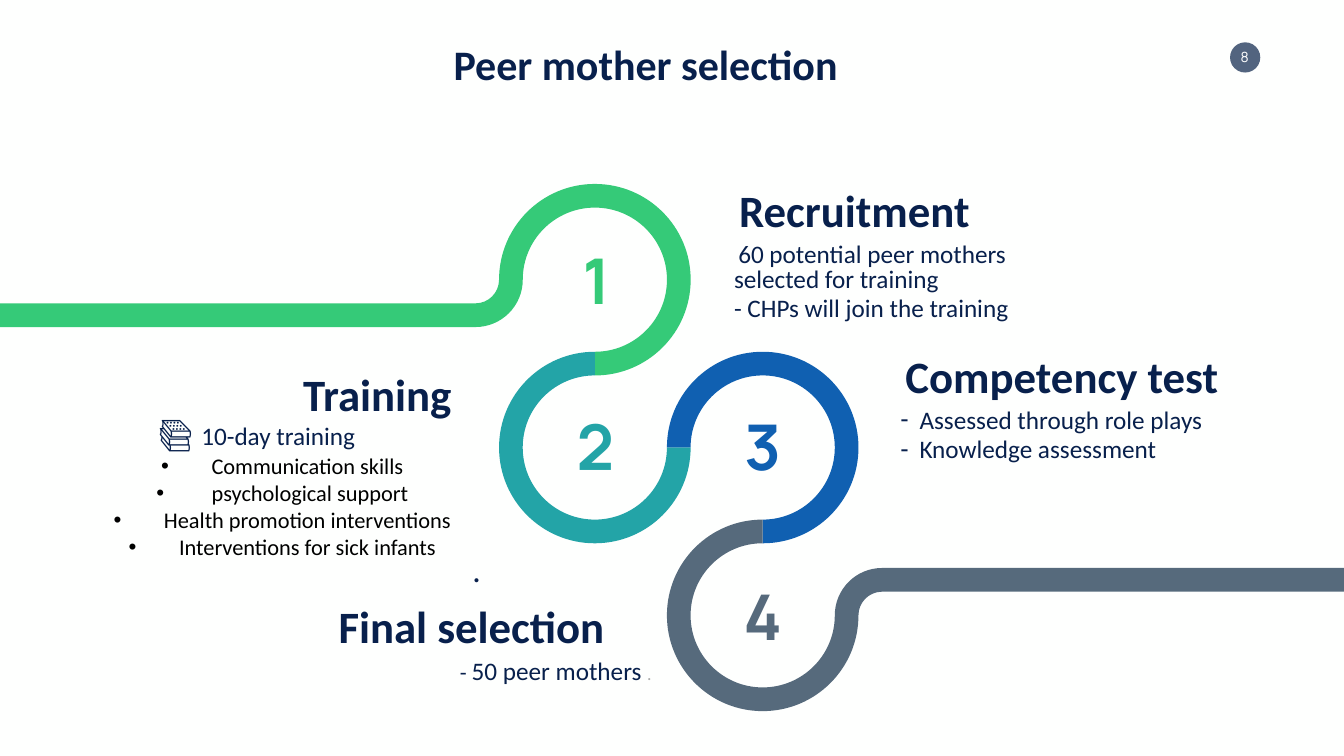
import math

import pptx
import pptx.dml.color
import pptx.enum.shapes
import pptx.enum.text
import pptx.oxml.ns
import pptx.util
from lxml import etree

SLIDE_WIDTH, SLIDE_HEIGHT = 13.33, 7.5
COLUMNS, ROWS = 133.3, 75
CELL = SLIDE_WIDTH / COLUMNS
OUTER, INNER = 9.5, 7.15
BAND = OUTER - INNER
PITCH = OUTER + INNER
LEFT, TOP = 59, 27.75
CURVATURE = 4 / 3 * math.tan(math.pi / 8)
COLORS = {
    "background": "FEFFFE",
    "navy": "08204C",
    "black": "000000",
    "white": "FFFFFF",
    "badge": "52647F",
    "faint": "AAAAAA",
    "green": "35CA78",
    "teal": "23A4A7",
    "blue": "1060B1",
    "slate": "566A7C",
}
ALIGN = pptx.enum.text.PP_ALIGN
ANCHOR = pptx.enum.text.MSO_ANCHOR


def grid(cells):
    """Turn grid cells into a slide length."""
    return pptx.util.Inches(cells * CELL)


def rgb(name):
    """Look up a named colour."""
    return pptx.dml.color.RGBColor.from_string(COLORS[name])


def paint(shape, color):
    """Give a shape a flat fill without line or shadow."""
    shape.fill.solid()
    shape.fill.fore_color.rgb = rgb(color)
    shape.line.fill.background()
    shape.shadow.inherit = False


def add_frame(slide, box, margins=(1, 0.5), anchor=ANCHOR.TOP, wrap=True):
    """Add a text box given as left, top, width, height and return its frame."""
    frame = slide.shapes.add_textbox(*map(grid, box)).text_frame
    frame.margin_left = frame.margin_right = grid(margins[0])
    frame.margin_top = frame.margin_bottom = grid(margins[1])
    frame.vertical_anchor = anchor
    frame.word_wrap = wrap
    frame.auto_size = pptx.enum.text.MSO_AUTO_SIZE.SHAPE_TO_FIT_TEXT
    return frame


def add_bullet(paragraph, bullet, margin, hanging):
    """Set a bullet character with a hanging indent."""
    properties = paragraph._p.get_or_add_pPr()
    properties.set("marL", str(grid(margin)))
    properties.set("indent", str(-grid(hanging)))
    for tag, key, value in (("a:buFont", "typeface", "Arial"),
                            ("a:buChar", "char", bullet)):
        etree.SubElement(properties, pptx.oxml.ns.qn(tag)).set(key, value)


def write(frame, text, size=18, font="Calibri", color="navy", bold=False,
          align=ALIGN.LEFT, spaced=False, bullet=None, margin=0, hanging=0,
          level=0, same_line=False):
    """Write text as a new paragraph, or as a further run of the last one."""
    paragraph = frame.paragraphs[-1]
    if not same_line:
        first = not paragraph.runs
        paragraph = paragraph if first else frame.add_paragraph()
        paragraph.alignment = align
        paragraph.level = level
        if spaced:
            paragraph.line_spacing = pptx.util.Pt(17.5)
            paragraph.space_before = pptx.util.Pt(0 if first else 3.6)
        if bullet:
            add_bullet(paragraph, bullet, margin, hanging)
    run = paragraph.add_run()
    run.text = text
    run.font.size = pptx.util.Pt(size)
    run.font.name = font
    run.font.bold = bold
    run.font.color.rgb = rgb(color)


def add_heading(slide, text, box, align=ALIGN.LEFT):
    """Add the heading of one step."""
    frame = add_frame(slide, box, anchor=ANCHOR.BOTTOM, wrap=False)
    write(frame, text, size=32, bold=True, align=align)


def add_body(slide, box):
    """Add the empty body frame of one step."""
    return add_frame(slide, box, margins=(0.5, 0.25))


def arc(center, radius, start, end):
    """List quarter curves, each as two handles and an end, after a start point."""
    turn = 90 if end > start else -90
    handle = math.copysign(CURVATURE, turn)

    def place(angle, lean=0):
        """Find a point at an angle, pushed along the tangent."""
        cosine, sine = math.cos(math.radians(angle)), math.sin(math.radians(angle))
        return (center[0] + radius * (cosine - lean * sine),
                center[1] + radius * (sine + lean * cosine))

    return [[place(start)]] + [
        [place(angle, handle), place(angle + turn, -handle), place(angle + turn)]
        for angle in range(start, end, turn)]


def tail(center, side, edge):
    """List the steps of a road that leaves a ring for a slide edge."""
    bend = (center[0] + side * (OUTER + BAND), center[1])
    start, end = (0, 90) if side < 0 else (180, 270)
    near = arc(bend, BAND, start, end)[1:]
    far = arc(bend, 2 * BAND, end, start)
    corners = [[(edge, bend[1] + -side * radius)] for radius in (BAND, 2 * BAND)]
    return near + corners + far + arc(center, INNER, 0, 90)[:0]


def add_outline(slide, steps, color):
    """Draw a closed outline of straight and curved steps."""
    ends = [tuple(map(grid, step[-1])) for step in steps]
    builder = slide.shapes.build_freeform(*ends[0], scale=1.0)
    builder.add_line_segments(ends[1:], close=True)
    shape = builder.convert_to_shape()
    paint(shape, color)
    lines = list(shape._element.iter(pptx.oxml.ns.qn("a:lnTo")))
    for line, step in zip(lines, steps[1:]):
        if len(step) == 3:
            line.tag = pptx.oxml.ns.qn("a:cubicBezTo")
            for index, (x, y) in enumerate(step[:2]):
                point = etree.Element(pptx.oxml.ns.qn("a:pt"))
                point.set("x", str(grid(x) - shape.left))
                point.set("y", str(grid(y) - shape.top))
                line.insert(index, point)


def add_ring(slide, center, start, end, color, road=()):
    """Add a three-quarter ring with its road, if any."""
    inner = arc(center, INNER, end, start)
    steps = arc(center, OUTER, start, end) + list(road)
    add_outline(slide, steps + (inner[1:] if road else inner), color)


def add_number(slide, number, center, width, color):
    """Add the number inside a ring."""
    box = (center[0] - width / 2, center[1] - 4.3, width, 8.6)
    frame = add_frame(slide, box, anchor=ANCHOR.MIDDLE, wrap=False)
    write(frame, str(number), size=45, font="Manrope", color=color, bold=True,
          align=ALIGN.CENTER)


def add_page_number(slide, number):
    """Add the round page number badge."""
    oval = pptx.enum.shapes.MSO_SHAPE.OVAL
    paint(slide.shapes.add_shape(oval, *map(grid, (122, 4.2, 3, 3))), "badge")
    frame = add_frame(slide, (122.5, 4.8, 1.9, 1.7), margins=(0, 0),
                      anchor=ANCHOR.MIDDLE, wrap=False)
    write(frame, str(number), size=10, font="Manrope", color="white",
          align=ALIGN.CENTER)


def add_rings(slide):
    """Add the winding road of four numbered rings."""
    right, middle, bottom = LEFT + PITCH, TOP + PITCH, TOP + 2 * PITCH
    first, last = (LEFT, TOP), (right, bottom)
    add_ring(slide, first, 450, 180, "green", tail(first, -1, 0))
    add_ring(slide, (LEFT, middle), 0, 270, "teal")
    add_ring(slide, (right, middle), 180, 450, "blue")
    add_ring(slide, last, 270, 0, "slate", tail(last, 1, COLUMNS))
    add_number(slide, 1, first, 4.4, "green")
    add_number(slide, 2, (LEFT, middle - 0.2), 5.6, "teal")
    add_number(slide, 3, (right, middle - 0.2), 5.8, "blue")
    add_number(slide, 4, last, 6.3, "slate")


def add_steps(slide):
    """Add the headings and details of the four steps."""
    add_heading(slide, "Recruitment", (72.3, 17.6, 25.1, 6.4))
    body = add_body(slide, (72.3, 24, 31.1, 8.7))
    write(body, " ", size=12, font="Lato", color="faint", spaced=True)
    write(body, "60 potential peer mothers selected for training", same_line=True)
    write(body, "- CHPs will join the training", spaced=True)

    add_heading(slide, "Competency test", (88.8, 34, 33.3, 6.4))
    body = add_body(slide, (88.8, 40.4, 31.1, 6.2))
    for line in ("Assessed through role plays", "Knowledge assessment"):
        write(body, line, spaced=True, bullet="-", margin=1.9, hanging=1.9)

    add_heading(slide, "Final selection ", (32.3, 58.8, 29.7, 6.4), ALIGN.RIGHT)
    body = add_body(slide, (34, 65.3, 31.1, 3.1))
    write(body, "- ", size=16, align=ALIGN.RIGHT, spaced=True)
    write(body, "50 peer mothers ", same_line=True)
    write(body, ".", size=12, font="Lato", color="faint", same_line=True)

    add_heading(slide, "Training", (28.9, 35.8, 16.9, 6.4), ALIGN.RIGHT)
    body = add_body(slide, (2.8, 42.2, 45.4, 17.4))
    write(body, "📚 ", size=24, font="Open Sans", align=ALIGN.CENTER, spaced=True)
    write(body, "10-day training", same_line=True)
    for line in ("Communication skills", " psychological support",
                 "Health promotion interventions",
                 "Interventions for sick infants"):
        write(body, line, size=16, color="black", align=ALIGN.CENTER,
              bullet="•", margin=10, hanging=5, level=1)
    write(body, ".", size=24, align=ALIGN.RIGHT, spaced=True)


def main():
    """Build the slide and save it."""
    presentation = pptx.Presentation()
    presentation.slide_width = grid(COLUMNS)
    presentation.slide_height = grid(ROWS)
    slide = presentation.slides.add_slide(presentation.slide_layouts[6])
    slide.background.fill.solid()
    slide.background.fill.fore_color.rgb = rgb("background")
    add_page_number(slide, 8)
    title = add_frame(slide, (24.7, 3.3, 78.7, 6.1))
    write(title, "Peer mother selection", size=30, bold=True, align=ALIGN.CENTER)
    add_rings(slide)
    add_steps(slide)
    presentation.save("out.pptx")


if __name__ == "__main__":
    main()
